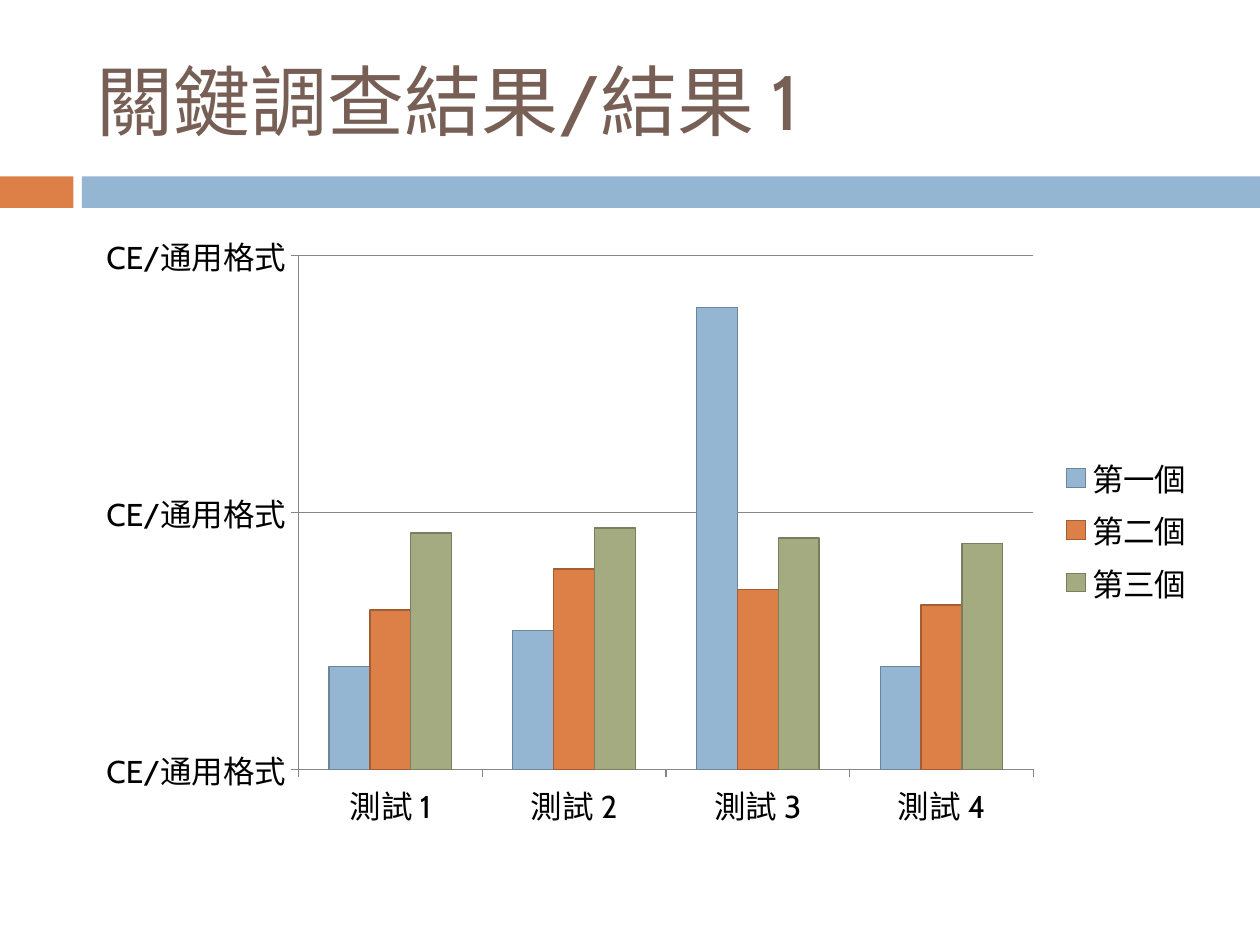
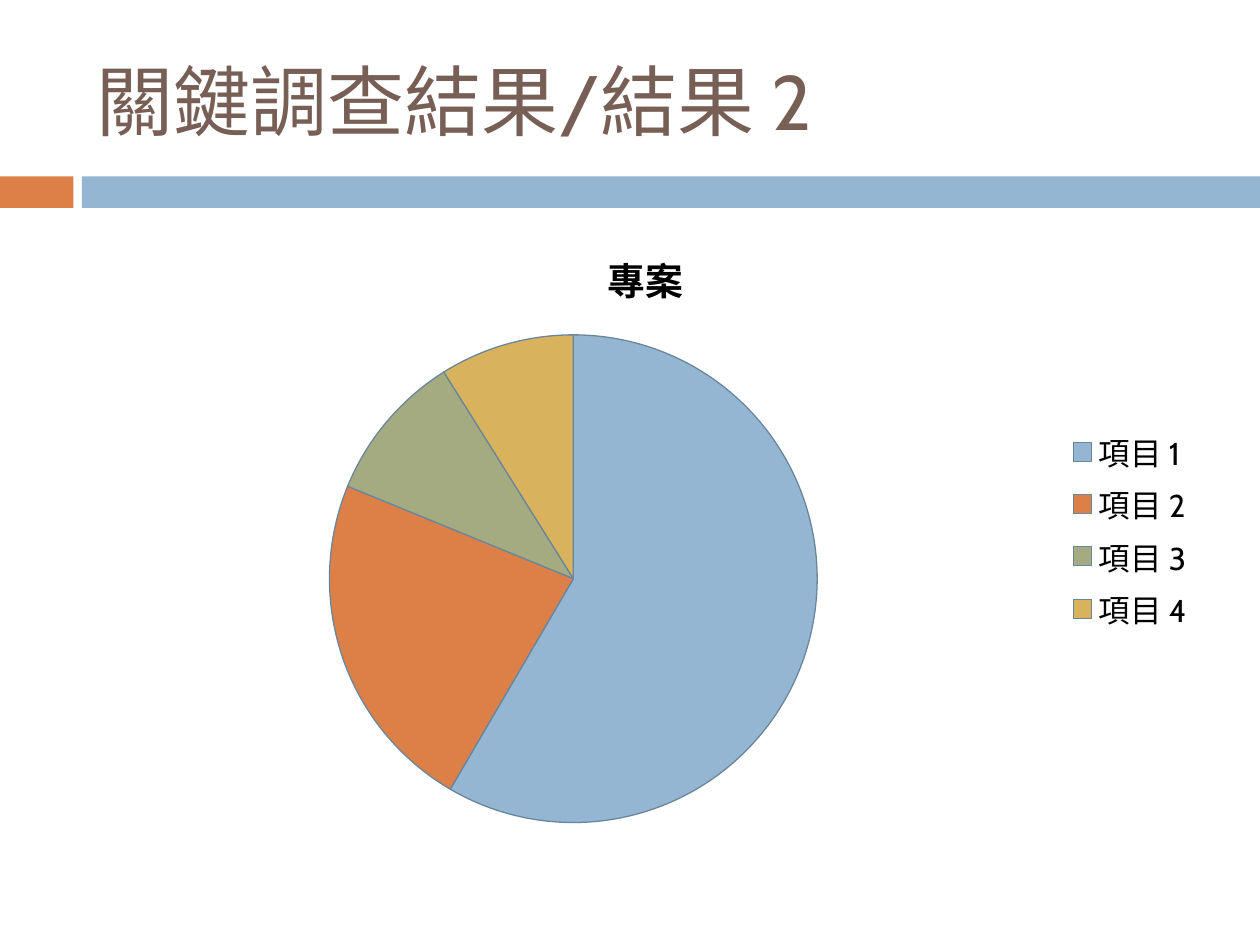
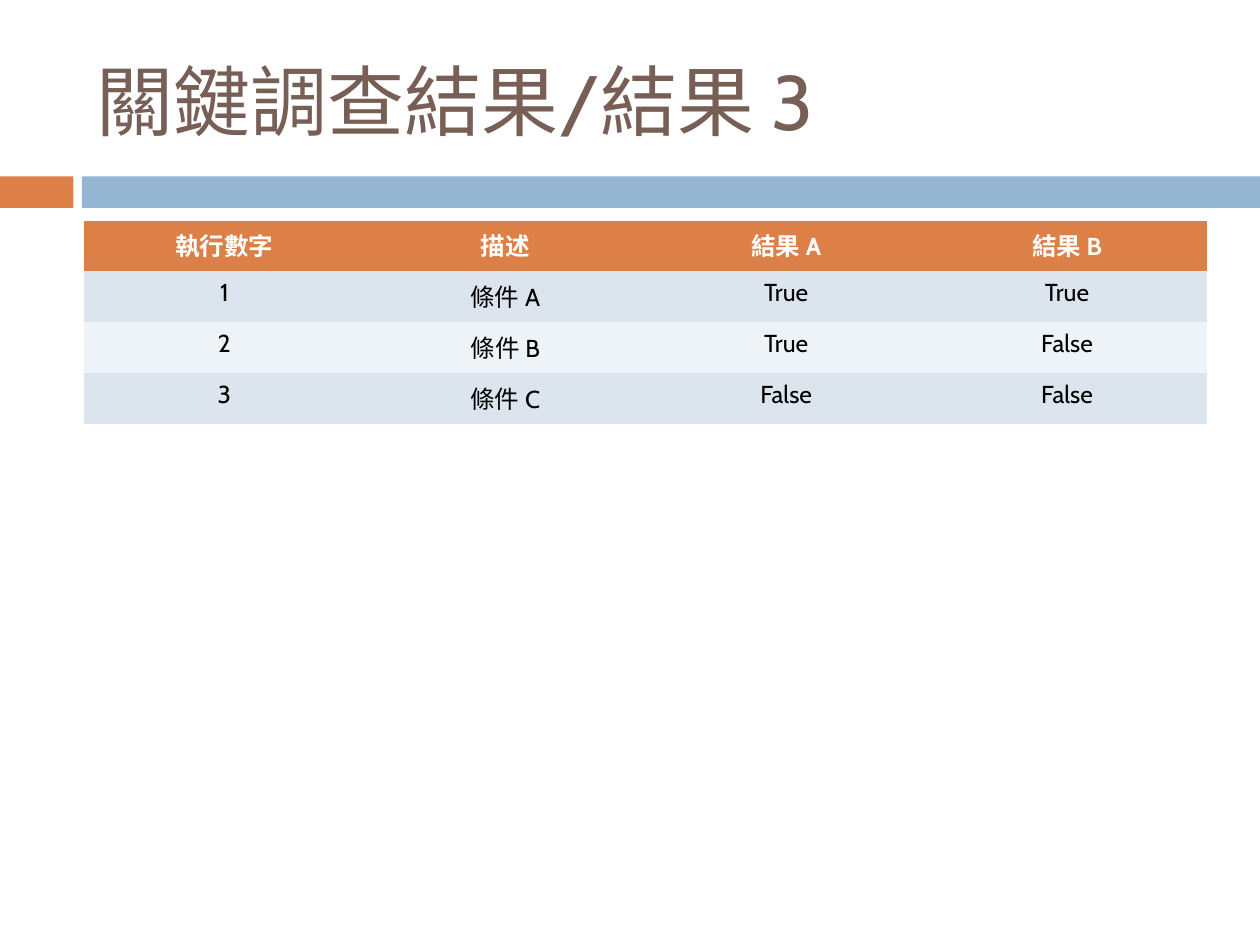
from pptx import Presentation
from pptx import util as u
from pptx.chart import data as cd
from pptx.dml.color import RGBColor
from pptx.enum import chart as ch
from pptx.enum import shapes, text
from pptx.oxml.ns import qn

Pt = u.Pt
BLUE = RGBColor(0x94, 0xB6, 0xD2)
ORANGE = RGBColor(0xDD, 0x80, 0x47)
GREEN = RGBColor(0xA5, 0xAB, 0x81)
GOLD = RGBColor(0xD8, 0xB2, 0x5C)
BLUE_EDGE = RGBColor(0x6A, 0x86, 0x9C)
ORANGE_EDGE = RGBColor(0xA4, 0x5D, 0x32)
GREEN_EDGE = RGBColor(0x7A, 0x7E, 0x5E)
BROWN = RGBColor(0x77, 0x5F, 0x55)
GRAY = RGBColor(0x87, 0x87, 0x87)
PALE = RGBColor(0xDC, 0xE5, 0xEE)
PALER = RGBColor(0xEE, 0xF3, 0xF7)
BLACK = RGBColor(0, 0, 0)
WHITE = RGBColor(0xFF, 0xFF, 0xFF)

FONT = "Cabin"
LEFT, WIDTH = Pt(48), Pt(642)
BODY_TOP, CHART_HEIGHT, ROW_HEIGHT = Pt(126), Pt(354), Pt(29.16)
NO_GRID_STYLE = "{2D5ABB26-0587-4C30-8999-92F81FD0307C}"


class Deck:
    def __init__(self):
        self.prs = Presentation()
        self.prs.slide_width, self.prs.slide_height = Pt(720), Pt(540)
        self.s = None

    def font(self, f, size, color, bold=False):
        f.name, f.size, f.bold = FONT, Pt(size), bold
        f.color.rgb = color

    def slide(self, title):
        self.s = self.prs.slides.add_slide(self.prs.slide_layouts[5])
        self.band(0, 42, ORANGE)
        self.band(46.8, 673.2, BLUE)
        sp = self.s.shapes.title
        sp.left, sp.top, sp.width, sp.height = LEFT, Pt(18), WIDTH, Pt(78)
        tf = sp.text_frame
        tf.text = title
        tf.word_wrap = True
        tf.vertical_anchor = text.MSO_ANCHOR.MIDDLE
        p = tf.paragraphs[0]
        p.alignment = text.PP_ALIGN.LEFT
        self.font(p.font, 44, BROWN)

    def band(self, left, width, color):
        sp = self.s.shapes.add_shape(
            shapes.MSO_SHAPE.RECTANGLE, Pt(left), Pt(100.8), Pt(width), Pt(18))
        sp.shadow.inherit = False
        sp.fill.solid()
        sp.fill.fore_color.rgb = color
        sp.line.fill.background()

    def paint(self, fmt, color, edge):
        fmt.fill.solid()
        fmt.fill.fore_color.rgb = color
        self.rule(fmt, edge)

    def rule(self, fmt, color):
        fmt.line.color.rgb = color
        fmt.line.width = Pt(0.75)

    def chart(self, kind, categories, series):
        data = cd.CategoryChartData()
        data.categories = categories
        for name, values in series:
            data.add_series(name, values)
        chart = self.s.shapes.add_chart(
            kind, LEFT, BODY_TOP, WIDTH, CHART_HEIGHT, data).chart
        self.font(chart.font, 18, BLACK)
        chart.has_title = False
        chart.has_legend = True
        chart.legend.position = ch.XL_LEGEND_POSITION.RIGHT
        chart.legend.include_in_layout = False
        return chart

    def columns(self, categories, series, colors):
        chart = self.chart(ch.XL_CHART_TYPE.COLUMN_CLUSTERED, categories, series)
        plot = chart.plots[0]
        plot.vary_by_categories = False
        plot.gap_width, plot.overlap = 150, 0
        for ser, (color, edge) in zip(plot.series, colors):
            self.paint(ser.format, color, edge)
        axis = chart.value_axis
        axis.minimum_scale, axis.maximum_scale, axis.major_unit = 0, 100, 50
        axis.tick_labels.number_format = r"g/\通\用\格\式"
        axis.tick_labels.number_format_is_linked = False
        axis.has_major_gridlines = True
        self.rule(axis.major_gridlines.format, GRAY)
        for axis in (chart.category_axis, chart.value_axis):
            axis.major_tick_mark = ch.XL_TICK_MARK.OUTSIDE
            self.rule(axis.format, GRAY)

    def pie(self, name, categories, values, colors):
        chart = self.chart(ch.XL_CHART_TYPE.PIE, categories, [(name, values)])
        chart.has_title = True
        chart.chart_title.include_in_layout = False
        tf = chart.chart_title.text_frame
        tf.text = name
        self.font(tf.paragraphs[0].font, 21.6, BLACK, True)
        plot = chart.plots[0]
        plot.vary_by_categories = True
        for i, color in enumerate(colors):
            self.paint(plot.series[0].points[i].format, color, BLUE_EDGE)

    def table(self, rows):
        tbl = self.s.shapes.add_table(
            len(rows), len(rows[0]), LEFT, BODY_TOP, WIDTH, ROW_HEIGHT * len(rows)).table
        tbl.horz_banding = False
        tbl._tbl.tblPr.find(qn("a:tableStyleId")).text = NO_GRID_STYLE
        for i, row in enumerate(rows):
            header = i == 0
            fill = ORANGE if header else PALE if i % 2 else PALER
            for j, value in enumerate(row):
                cell = tbl.cell(i, j)
                cell.text = value
                cell.fill.solid()
                cell.fill.fore_color.rgb = fill
                p = cell.text_frame.paragraphs[0]
                p.alignment = text.PP_ALIGN.CENTER
                self.font(p.font, 14, WHITE if header else BLACK, header)


def main():
    deck = Deck()

    deck.slide("關鍵調查結果/結果 1")
    deck.columns(
        [f"測試 {n}" for n in range(1, 5)],
        [("第一個", (20, 27, 90, 20)),
         ("第二個", (31, 39, 35, 32)),
         ("第三個", (46, 47, 45, 44))],
        [(BLUE, BLUE_EDGE), (ORANGE, ORANGE_EDGE), (GREEN, GREEN_EDGE)])

    deck.slide("關鍵調查結果/結果 2")
    deck.pie("專案", [f"項目 {n}" for n in range(1, 5)],
             (59, 23, 10, 9), (BLUE, ORANGE, GREEN, GOLD))

    deck.slide("關鍵調查結果/結果 3")
    deck.table([
        ("執行數字", "描述", "結果 A", "結果 B"),
        ("1", "條件 A", "True", "True"),
        ("2", "條件 B", "True", "False"),
        ("3", "條件 C", "False", "False")])

    deck.prs.save("out.pptx")


if __name__ == "__main__":
    main()
